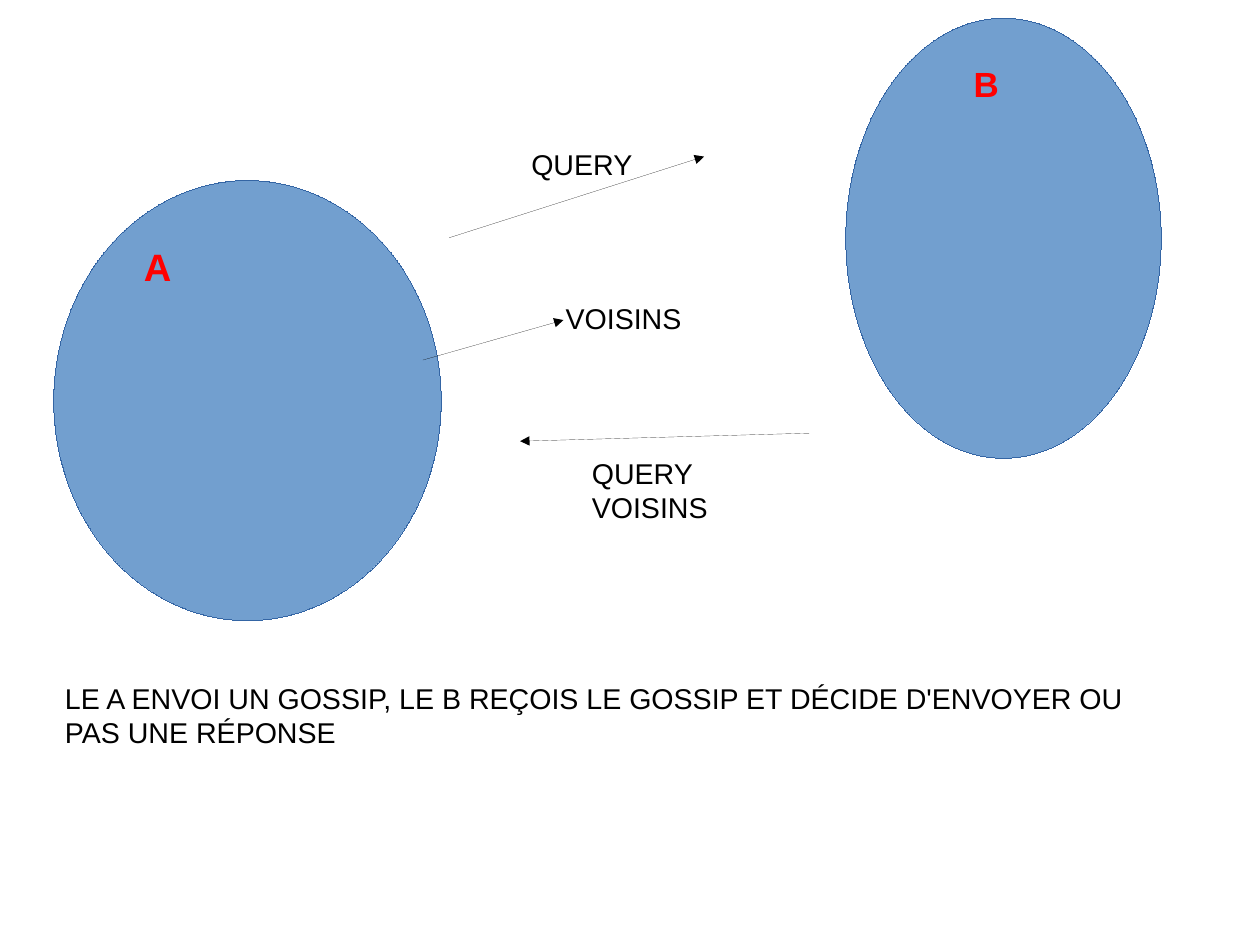
"""Builds a slide showing how peers A and B exchange gossip messages."""
from lxml.etree import SubElement
from pptx import Presentation
from pptx.dml.color import RGBColor
from pptx.enum.shapes import MSO_CONNECTOR, MSO_SHAPE
from pptx.enum.text import MSO_AUTO_SIZE
from pptx.oxml.ns import qn
from pptx.util import Inches, Pt

COLORS = {"peer": "729FCF", "outline": "3465A4", "text": "000000", "name": "FF0000"}
HAIRLINE = Pt(0.01)

deck = Presentation()
deck.slide_width = Inches(28 / 2.54)
deck.slide_height = Inches(21 / 2.54)
page = deck.slides.add_slide(deck.slide_layouts[6])

peers = [(7.4, 0.16, 2.76, 3.85), (0.47, 1.58, 3.39, 3.85)]
for bounds in peers:
    peer = page.shapes.add_shape(MSO_SHAPE.OVAL, *map(Inches, bounds))
    peer.shadow.inherit = False
    peer.fill.solid()
    peer.fill.fore_color.rgb = RGBColor.from_string(COLORS["peer"])
    peer.line.color.rgb = RGBColor.from_string(COLORS["outline"])
    peer.line.width = HAIRLINE

messages = [
    (3.93, 2.08, 6.16, 1.37),
    (7.08, 3.79, 4.55, 3.86),
    (3.7, 3.15, 4.93, 2.8),
]
for ends in messages:
    arrow = page.shapes.add_connector(MSO_CONNECTOR.STRAIGHT, *map(Inches, ends))
    arrow.line.color.rgb = RGBColor.from_string(COLORS["text"])
    arrow.line.width = HAIRLINE
    properties = arrow._element.spPr
    SubElement(properties.find(qn("a:ln")), qn("a:tailEnd"), type="triangle")
    SubElement(properties, qn("a:effectLst"))

labels = [
    ("QUERY", (4.55, 1.24, 1.23, 0.48), 18, "text"),
    ("QUERY VOISINS", (5.08, 3.94, 1.23, 0.66), 18, "text"),
    ("A", (1.16, 2.08, 1.54, 0.86), 24, "name"),
    ("VOISINS", (4.85, 2.58, 2.39, 0.83), 18, "text"),
    ("B", (8.42, 0.5, 1.65, 0.44), 22, "name"),
    ("LE A ENVOI UN GOSSIP, LE B REÇOIS LE GOSSIP ET DÉCIDE D'ENVOYER OU PAS UNE RÉPONSE",
     (0.47, 5.91, 10, 0.66), 18, "text"),
]
for words, bounds, size, color in labels:
    box = page.shapes.add_textbox(*map(Inches, bounds))
    box.text_frame.word_wrap = True
    box.text_frame.auto_size = MSO_AUTO_SIZE.SHAPE_TO_FIT_TEXT
    box.text_frame.text = words
    span = box.text_frame.paragraphs[0].runs[0]
    span.font.name = "Arial"
    span.font.size = Pt(size)
    span.font.bold = color == "name"
    span.font.color.rgb = RGBColor.from_string(COLORS[color])

deck.save("out.pptx")
